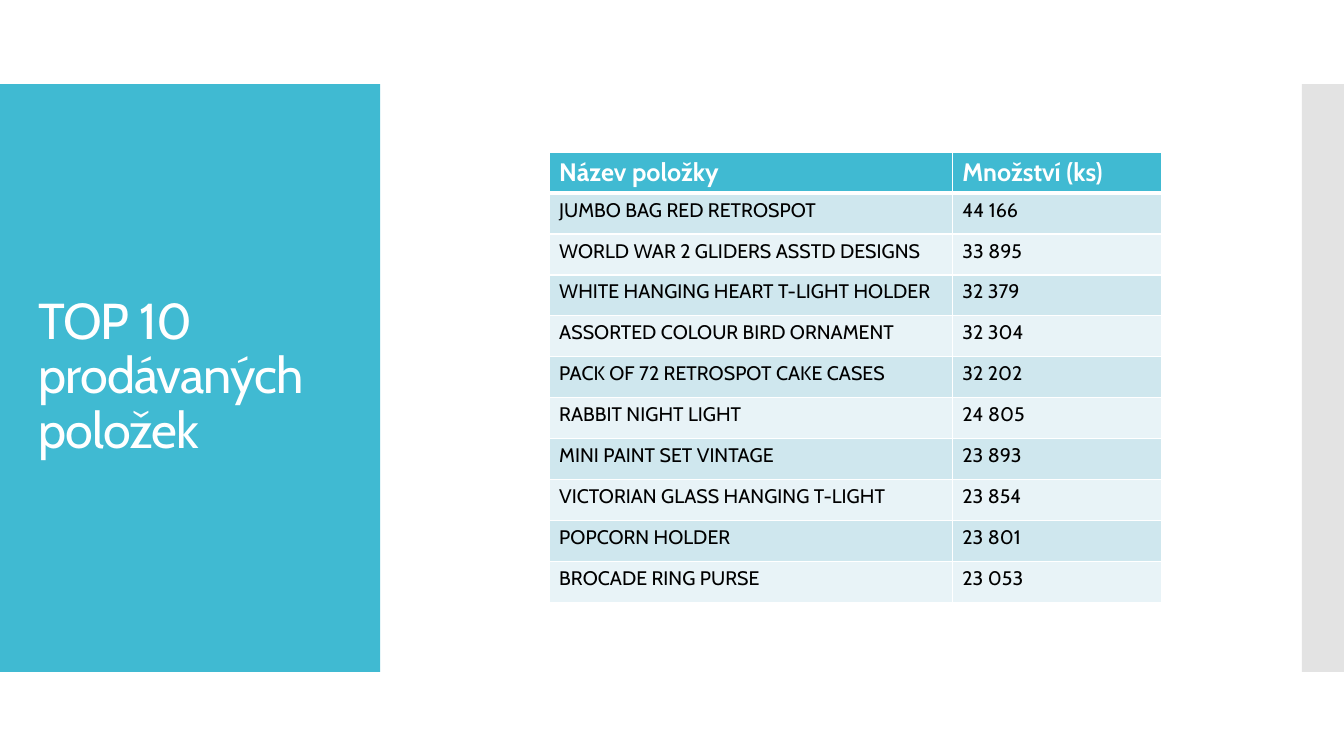
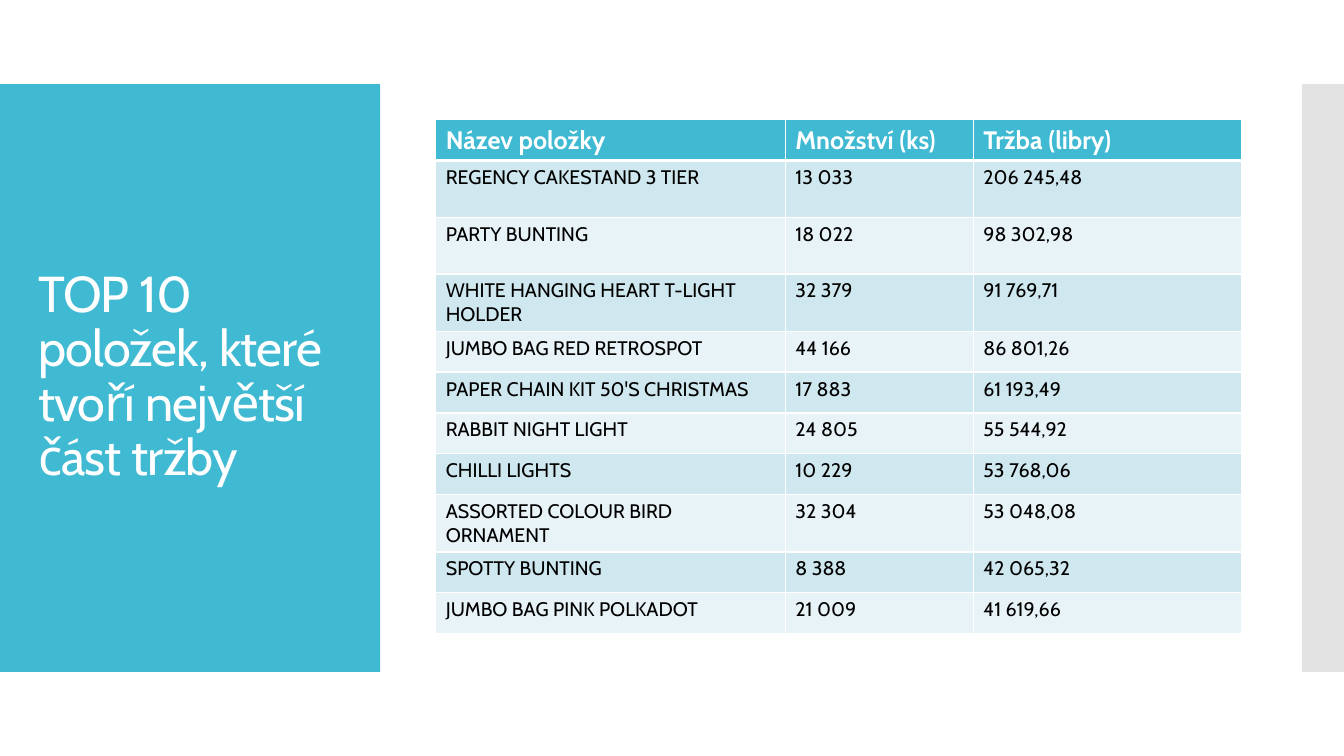
from lxml.etree import SubElement
from pptx import Presentation
from pptx.dml.color import RGBColor
from pptx.enum.shapes import MSO_SHAPE as SHAPE
from pptx.enum.text import MSO_ANCHOR as ANCHOR, PP_ALIGN as ALIGN
from pptx.oxml.ns import qn
from pptx.util import Pt

PX = 9525
FONT = "Cabin"
TEAL = RGBColor(0x40, 0xBA, 0xD2)
GREY = RGBColor(0xC8, 0xC8, 0xC8)
WHITE = RGBColor(0xFF, 0xFF, 0xFF)
BLACK = RGBColor(0x00, 0x00, 0x00)
STRIPES = (RGBColor(0xCF, 0xE7, 0xEE), RGBColor(0xE8, 0xF3, 0xF7))

ROW = 39
TALL_ROW = 54

SOLD_ITEMS = [
    ("Název položky", "Množství (ks)"),
    ("JUMBO BAG RED RETROSPOT", "44 166"),
    ("WORLD WAR 2 GLIDERS ASSTD DESIGNS", "33 895"),
    ("WHITE HANGING HEART T-LIGHT HOLDER", "32 379"),
    ("ASSORTED COLOUR BIRD ORNAMENT", "32 304"),
    ("PACK OF 72 RETROSPOT CAKE CASES", "32 202"),
    ("RABBIT NIGHT LIGHT", "24 805"),
    ("MINI PAINT SET VINTAGE", "23 893"),
    ("VICTORIAN GLASS HANGING T-LIGHT", "23 854"),
    ("POPCORN HOLDER", "23 801"),
    ("BROCADE RING PURSE", "23 053"),
]

REVENUE_ITEMS = [
    ("Název položky", "Množství (ks)", "Tržba (libry)"),
    ("REGENCY CAKESTAND 3 TIER", "13 033", "206 245,48"),
    ("PARTY BUNTING", "18 022", "98 302,98"),
    ("WHITE HANGING HEART T-LIGHT HOLDER", "32 379", "91 769,71"),
    ("JUMBO BAG RED RETROSPOT", "44 166", "86 801,26"),
    ("PAPER CHAIN KIT 50'S CHRISTMAS", "17 883", "61 193,49"),
    ("RABBIT NIGHT LIGHT", "24 805", "55 544,92"),
    ("CHILLI LIGHTS", "10 229", "53 768,06"),
    ("ASSORTED COLOUR BIRD ORNAMENT", "32 304", "53 048,08"),
    ("SPOTTY BUNTING", "8 388", "42 065,32"),
    ("JUMBO BAG PINK POLKADOT", "21 009", "41 619,66"),
]


def px(*lengths):
    return [n * PX for n in lengths]


def write_text(tf, text, size=14, color=BLACK, bold=False, tracking=0, leading=1.0):
    tf.word_wrap = True
    p = tf.paragraphs[0]
    p.alignment = ALIGN.LEFT
    p.line_spacing = leading
    r = p.add_run()
    r.text = text
    r.font.name = FONT
    r.font.size = Pt(size)
    r.font.bold = bold
    r.font.color.rgb = color
    if tracking:
        r._r.get_or_add_rPr().set("spc", str(round(tracking * 100)))


def set_border(cell, side, width):
    ln = SubElement(cell._tc.get_or_add_tcPr(), qn(f"a:ln{side}"), w=str(Pt(width)))
    fill = SubElement(ln, qn("a:solidFill"))
    SubElement(fill, qn("a:srgbClr"), val=str(WHITE))


class Deck:
    def __init__(self):
        self.prs = Presentation()
        self.prs.slide_width, self.prs.slide_height = px(1280, 720)
        self.s = None

    def slide(self, title):
        self.s = self.prs.slides.add_slide(self.prs.slide_layouts[6])
        self.band(0, 362, TEAL)
        self.band(1240, 40, GREY, alpha=50)
        self.title(title)

    def band(self, left, width, color, alpha=100):
        sp = self.s.shapes.add_shape(SHAPE.RECTANGLE, *px(left, 80, width, 560))
        sp.shadow.inherit = False
        sp.line.fill.background()
        sp.fill.solid()
        sp.fill.fore_color.rgb = color
        if alpha < 100:
            clr = sp._element.spPr.find(f".//{qn('a:srgbClr')}")
            SubElement(clr, qn("a:alpha"), val=str(alpha * 1000))

    def title(self, text):
        tf = self.s.shapes.add_textbox(*px(27, 118, 309, 483)).text_frame
        tf.vertical_anchor = ANCHOR.MIDDLE
        write_text(tf, text, size=36, color=WHITE, tracking=-0.6, leading=0.9)

    def table(self, left, top, widths, rows, tall=()):
        heights = [TALL_ROW if i in tall else ROW for i in range(len(rows))]
        frame = self.s.shapes.add_table(
            len(rows), len(widths), *px(left, top, sum(widths), sum(heights)))
        table = frame.table
        for column, width in zip(table.columns, widths):
            column.width = width * PX
        for i, (row, height) in enumerate(zip(rows, heights)):
            table.rows[i].height = height * PX
            for j, text in enumerate(row):
                self.cell(table.cell(i, j), i, text)

    def cell(self, cell, row, text):
        header = row == 0
        for side in "LRTB":
            heavy = (side, row) in (("B", 0), ("T", 1))
            set_border(cell, side, 3 if heavy else 1)
        cell.fill.solid()
        cell.fill.fore_color.rgb = TEAL if header else STRIPES[(row - 1) % 2]
        style = dict(size=18, color=WHITE, bold=True) if header else {}
        write_text(cell.text_frame, text, **style)


def main():
    deck = Deck()
    deck.slide("TOP 10 prodávaných položek")
    deck.table(523, 145, (384, 199), SOLD_ITEMS)
    deck.slide("TOP 10 položek, které tvoří největší část tržby")
    deck.table(415, 114, (333, 179, 256), REVENUE_ITEMS, tall=(1, 2, 3, 8))
    deck.prs.save("out.pptx")


if __name__ == "__main__":
    main()
